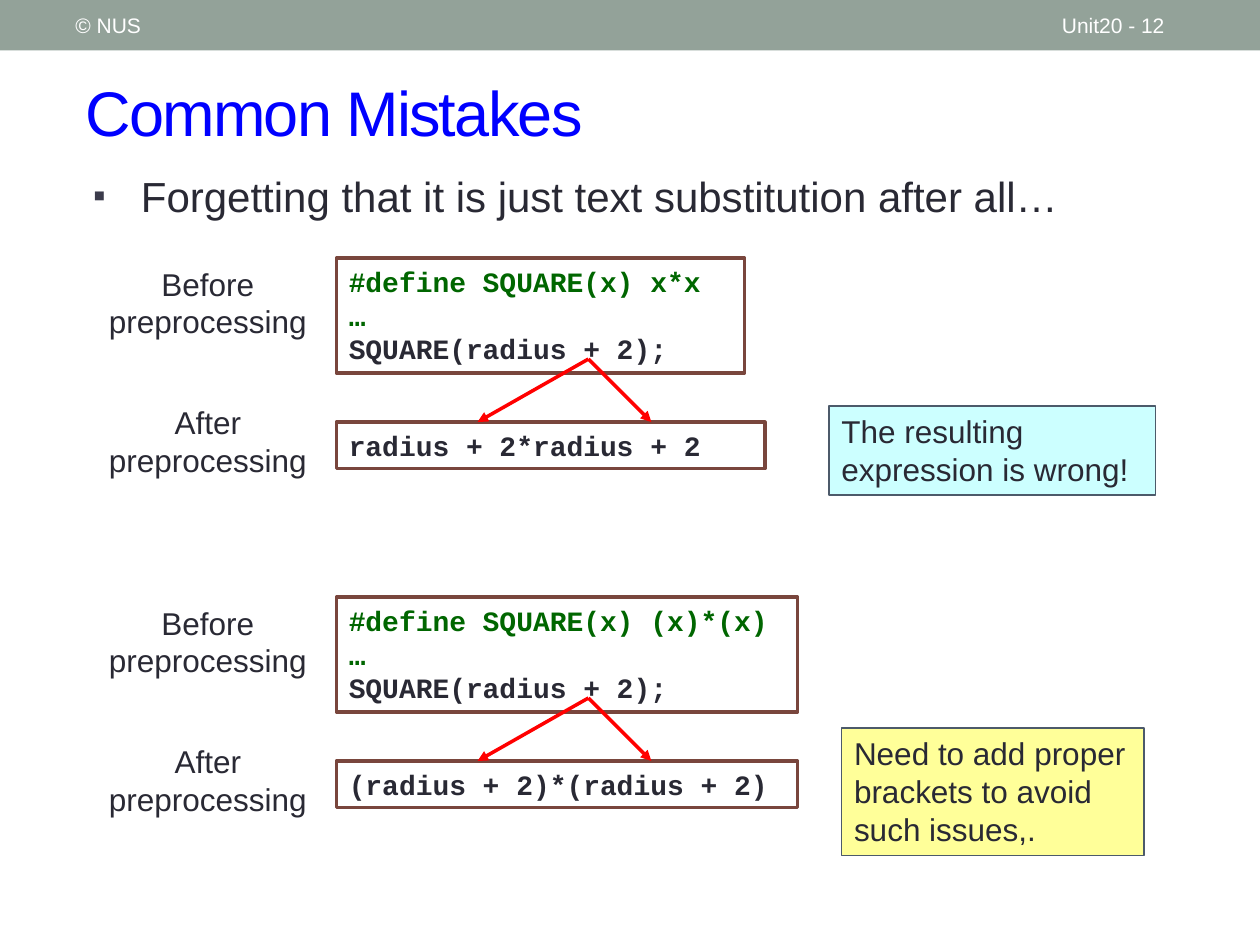
import pptx
import pptx.dml.color
import pptx.enum.shapes
import pptx.enum.text
import pptx.oxml.ns
import pptx.util
from lxml import etree
from pptx.util import Inches

INK, GREEN, BLUE, RED, WHITE = "292934", "006600", "0000FF", "FF0000", "FFFFFF"
BROWN, SLATE, SAGE = "79463D", "4C5A6A", "93A299"
CENTER = pptx.enum.text.PP_ALIGN.CENTER
qn = pptx.oxml.ns.qn


def rgb(value):
    return pptx.dml.color.RGBColor.from_string(value)


class SlideBuilder:
    body_font = "Arial"
    code_font = "Courier New"

    def __init__(self, slide):
        self.slide = slide

    def set_text(self, shape, lines, size, colors, font=None, bold=False,
                 align=None, middle=False):
        """Fill a shape with one paragraph per line, one color per line."""
        frame = shape.text_frame
        frame.word_wrap = True
        frame.vertical_anchor = (pptx.enum.text.MSO_ANCHOR.MIDDLE if middle
                                 else pptx.enum.text.MSO_ANCHOR.TOP)
        frame.text = "\n".join(lines)
        for paragraph, color in zip(frame.paragraphs, colors):
            paragraph.alignment = align or pptx.enum.text.PP_ALIGN.LEFT
            for run in paragraph.runs:
                run.font.name = font or self.body_font
                run.font.size = pptx.util.Pt(size)
                run.font.bold = bold
                run.font.color.rgb = rgb(color)
        return frame

    def label(self, box, text, size, color=INK, align=None, middle=True):
        shape = self.slide.shapes.add_textbox(*map(Inches, box))
        return self.set_text(shape, [text], size, [color], align=align,
                             middle=middle)

    def panel(self, box, fill, line=None, width=1):
        shape = self.slide.shapes.add_shape(
            pptx.enum.shapes.MSO_SHAPE.RECTANGLE, *map(Inches, box))
        shape.shadow.inherit = False
        shape.fill.solid()
        shape.fill.fore_color.rgb = rgb(fill)
        if line:
            shape.line.color.rgb = rgb(line)
            shape.line.width = pptx.util.Pt(width)
        else:
            shape.line.fill.background()
        return shape

    def code(self, box, lines, colors):
        self.set_text(self.panel(box, WHITE, BROWN, 2.08), lines, 16, colors,
                      font=self.code_font, bold=True)

    def note(self, box, text, fill):
        self.set_text(self.panel(box, fill, SLATE), [text], 18, [INK])

    def bullet(self, box, text, size):
        frame = self.label(box, text, size, middle=False)
        props = frame.paragraphs[0]._p.get_or_add_pPr()
        indent = Inches(0.38)
        props.set("marL", str(indent))
        props.set("indent", str(-indent))
        color = etree.SubElement(props, qn("a:buClr"))
        etree.SubElement(color, qn("a:srgbClr"), val="3B3B4B")
        etree.SubElement(props, qn("a:buSzPct"), val="85000")
        etree.SubElement(props, qn("a:buFont"), typeface=self.body_font)
        etree.SubElement(props, qn("a:buChar"), char="▪")

    def arrow(self, start, end):
        connector = self.slide.shapes.add_connector(
            pptx.enum.shapes.MSO_CONNECTOR.STRAIGHT,
            *map(Inches, (*start, *end)))
        connector.line.color.rgb = rgb(RED)
        connector.line.width = pptx.util.Pt(2)
        etree.SubElement(connector.line._get_or_add_ln(), qn("a:tailEnd"),
                         type="triangle")
        etree.SubElement(connector._element.spPr, qn("a:effectLst"))

    def example(self, top, macro, macro_width, expanded, expanded_width):
        """Code before and after preprocessing, joined by two arrows."""
        after_top = top + 1.3
        self.code((2.67, top, macro_width, 0.91),
                  [f"#define SQUARE(x) {macro}", "…", "SQUARE(radius + 2);"],
                  [GREEN, GREEN, INK])
        self.code((2.67, after_top, expanded_width, 0.37), [expanded], [INK])
        for stage, stage_top in (("Before", top - 0.14), ("After", top + 0.96)):
            self.label((0.7, stage_top, 1.9, 0.98), f"{stage} preprocessing",
                       18, align=CENTER)
        for target in (3.79, 5.17):
            self.arrow((4.67, top + 0.8), (target, after_top))


def main():
    deck = pptx.Presentation()
    deck.slide_width, deck.slide_height = Inches(10), Inches(7.5)
    builder = SlideBuilder(deck.slides.add_slide(deck.slide_layouts[6]))

    # Header band
    builder.panel((0, 0, 10, 0.4), SAGE)
    builder.label((8.33, 0.02, 1.17, 0.36), "Unit20 - 12", 12, WHITE)
    builder.label((0.5, 0.02, 3.17, 0.36), "© NUS", 12, WHITE)

    # Title and main point
    title = builder.label((0.58, 0.42, 9.17, 0.92), "Common Mistakes", 36, BLUE)
    title.paragraphs[0].runs[0].font._element.set("spc", "-100")
    builder.bullet((0.64, 1.3, 9.07, 1.55),
                   "Forgetting that it is just text substitution after all…", 24)

    # Wrong and corrected macros
    builder.example(2.05, "x*x", 3.24, "radius + 2*radius + 2", 3.4)
    builder.example(4.74, "(x)*(x)", 3.66, "(radius + 2)*(radius + 2)", 3.66)

    # Remarks
    builder.note((6.58, 3.22, 2.59, 0.71),
                 "The resulting expression is wrong!", "CCFFFF")
    builder.note((6.68, 5.78, 2.4, 1.01),
                 "Need to add proper brackets to avoid such issues,.", "FFFF99")

    deck.save("out.pptx")


if __name__ == "__main__":
    main()
